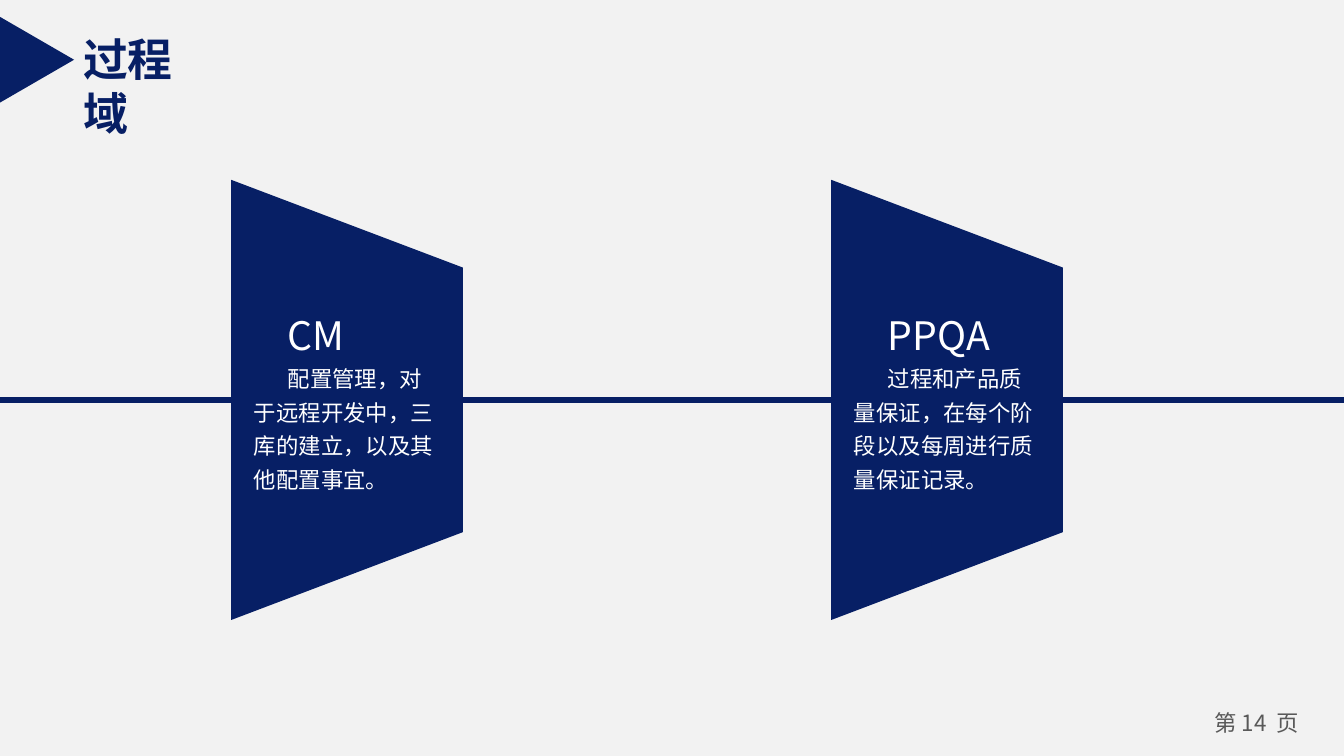
from dataclasses import dataclass
from lxml.etree import SubElement
from pptx import Presentation
from pptx.dml.color import RGBColor
from pptx.enum.shapes import MSO_CONNECTOR, MSO_SHAPE
from pptx.enum.text import PP_ALIGN
from pptx.oxml.ns import qn
from pptx.util import Cm, Pt

TITLE = "过程域"
PAGE_LABEL = [("第 14", 0), (" ", 2.7), ("页", 0)]
AREAS = [
    ("CM", "配置管理，对于远程开发中，三库的建立，以及其他配置事宜。"),
    ("PPQA", "过程和产品质量保证，在每个阶段以及每周进行质量保证记录。"),
]


@dataclass(frozen=True)
class Theme:
    navy: RGBColor = RGBColor(0x07, 0x1F, 0x65)
    white: RGBColor = RGBColor(0xFF, 0xFF, 0xFF)
    gray: RGBColor = RGBColor(0x59, 0x59, 0x59)
    background: RGBColor = RGBColor(0xF2, 0xF2, 0xF2)
    font: str = "Noto Sans CJK SC"
    title_font: str = "Arial"
    title_size: float = 24
    heading_size: float = 21
    body_size: float = 12


THEME = Theme()
PAGE_WIDTH, PAGE_HEIGHT = 25.4, 14.29
AXIS = 7.56
PANEL_LEFT, PANEL_PITCH = 4.37, 11.34
PANEL_WIDTH, PANEL_HEIGHT, PANEL_SLOPE = 4.38, 8.32, 1.66
TEXT_TOP, TEXT_HEIGHT, TEXT_WIDTH, TEXT_INSET = 5.54, 3.94, 4.05, 0.18


def add_box(shapes, left, top, width, height):
    box = shapes.add_textbox(Cm(left), Cm(top), Cm(width), Cm(height))
    box.text_frame.word_wrap = True
    return box.text_frame


def add_span(para, text, size, color, font=THEME.font, bold=False):
    span = para.add_run()
    span.text = text
    span.font.size = Pt(size)
    span.font.bold = bold
    span.font.name = font
    span.font.color.rgb = color
    properties = span.font._element
    SubElement(properties, qn("a:ea")).set("typeface", THEME.font)
    return properties


def fill_navy(shape):
    shape.shadow.inherit = False
    shape.fill.solid()
    shape.fill.fore_color.rgb = THEME.navy
    shape.line.fill.background()


def add_axis(page):
    axis = page.shapes.add_connector(
        MSO_CONNECTOR.STRAIGHT, Cm(0), Cm(AXIS), Cm(PAGE_WIDTH), Cm(AXIS))
    axis.line.color.rgb = THEME.navy
    axis.line.width = Pt(3)
    SubElement(axis._element.spPr, qn("a:effectLst"))


def add_panel(page, left, heading, body):
    group = page.shapes.add_group_shape()
    right = left + PANEL_WIDTH
    top, bottom = AXIS - PANEL_HEIGHT / 2, AXIS + PANEL_HEIGHT / 2
    corners = [(left, top), (right, top + PANEL_SLOPE), (right, bottom - PANEL_SLOPE)]
    builder = group.shapes.build_freeform(Cm(left), Cm(bottom))
    builder.add_line_segments([(Cm(x), Cm(y)) for x, y in corners], close=True)
    fill_navy(builder.convert_to_shape())

    frame = add_box(group.shapes, left + TEXT_INSET, TEXT_TOP, TEXT_WIDTH, TEXT_HEIGHT)
    paras = [frame.paragraphs[0], frame.add_paragraph()]
    sizes = [THEME.heading_size, THEME.body_size]
    for para, text, size in zip(paras, (heading, body), sizes):
        para.line_spacing = 1.25
        para._p.get_or_add_pPr().set("indent", str(Cm(0.64)))
        add_span(para, text, size, THEME.white)


def add_title(page):
    frame = add_box(page.shapes, 1.32, 0.48, 3, 1.27)
    add_span(frame.paragraphs[0], TITLE, THEME.title_size, THEME.navy,
             THEME.title_font, True)
    marker = page.shapes.add_shape(
        MSO_SHAPE.ISOSCELES_TRIANGLE, Cm(-0.11), Cm(0.43), Cm(1.62), Cm(1.4))
    marker.rotation = 90
    fill_navy(marker)


def add_page_label(page):
    frame = add_box(page.shapes, 22.6, 13.3, 2.3, 0.76)
    frame.margin_left = frame.margin_right = Cm(0.18)
    frame.margin_top = frame.margin_bottom = Cm(0.1)
    para = frame.paragraphs[0]
    para.alignment = PP_ALIGN.CENTER
    for text, spacing in PAGE_LABEL:
        properties = add_span(para, text, THEME.body_size, THEME.gray)
        if spacing:
            properties.set("spc", str(round(spacing * 100)))


def main():
    deck = Presentation()
    deck.slide_width, deck.slide_height = Cm(PAGE_WIDTH), Cm(PAGE_HEIGHT)
    page = deck.slides.add_slide(deck.slide_layouts[6])
    page.background.fill.solid()
    page.background.fill.fore_color.rgb = THEME.background
    add_page_label(page)
    add_axis(page)
    for index, (heading, body) in enumerate(AREAS):
        add_panel(page, PANEL_LEFT + index * PANEL_PITCH, heading, body)
    add_title(page)
    deck.save("out.pptx")


if __name__ == "__main__":
    main()
